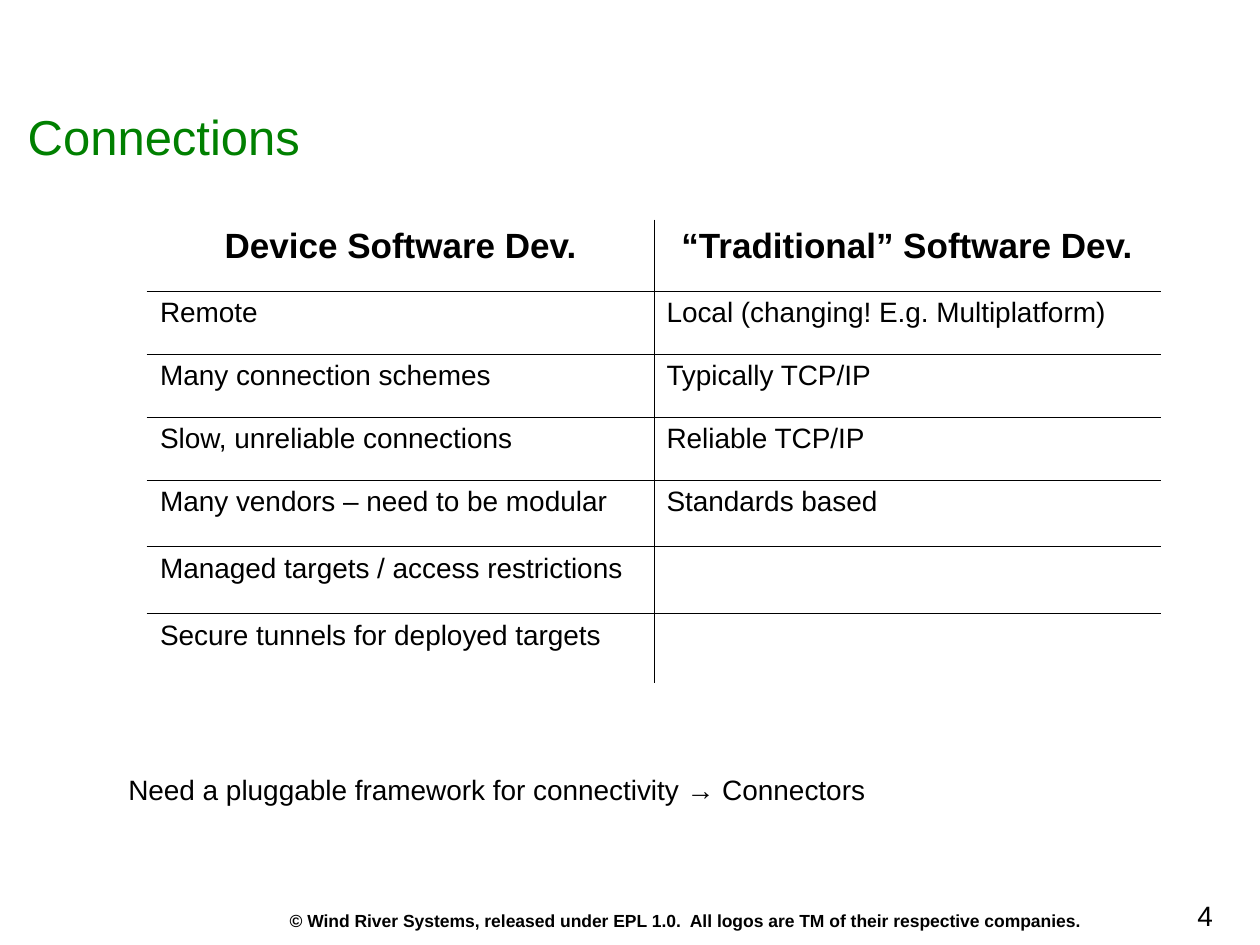
from dataclasses import dataclass

from lxml.etree import SubElement
from pptx import Presentation
from pptx.dml.color import RGBColor
from pptx.enum.text import MSO_ANCHOR, MSO_AUTO_SIZE, PP_ALIGN
from pptx.oxml import parse_xml
from pptx.oxml.ns import nsdecls, qn
from pptx.util import Inches, Pt


@dataclass(frozen=True)
class Theme:
    font: str = "Arial"
    ink: str = "000000"
    title: str = "008000"
    paper: str = "FFFFFF"
    shadow: str = "808080"
    title_pt: int = 28
    head_pt: int = 20
    body_pt: int = 16
    foot_pt: int = 10
    rule_pt: float = 0.45
    edge_pt: float = 1.08


@dataclass(frozen=True)
class Note:
    text: str
    left: float
    top: float
    width: float
    height: float
    size: int
    bold: bool = False
    wrap: bool = False
    align: PP_ALIGN = PP_ALIGN.LEFT


THEME = Theme()

NOTES = [
    Note("4", 8.96, 7.08, 1.21, 0.37, THEME.body_pt, align=PP_ALIGN.CENTER),
    Note("© Wind River Systems, released under EPL 1.0.  All logos are TM of "
         "their respective companies.", 2.2, 7.17, 6.48, 0.27, THEME.foot_pt, bold=True),
    Note("Need a pluggable framework for connectivity → Connectors",
         0.92, 6.08, 8.33, 0.37, THEME.body_pt, wrap=True),
]

ROWS = [
    ("Device Software Dev.", "“Traditional” Software Dev."),
    ("Remote", "Local (changing! E.g. Multiplatform)"),
    ("Many connection schemes", "Typically TCP/IP"),
    ("Slow, unreliable connections", "Reliable TCP/IP"),
    ("Many vendors – need to be modular", "Standards based"),
    ("Managed targets / access restrictions", ""),
    ("Secure tunnels for deployed targets", ""),
]
ROW_HEIGHTS = [0.56, 0.5, 0.5, 0.5, 0.53, 0.53, 0.56]
COL_WIDTH = 4.02


def add_run(p, text: str, size: int, color: str = THEME.ink, bold: bool = False):
    r = p.add_run()
    r.text = text
    r.font.name = THEME.font
    r.font.size = Pt(size)
    r.font.bold = bold
    r.font.color.rgb = RGBColor.from_string(color)
    return r


def add_text_shadow(r) -> None:
    fill = r.font._element.find(qn("a:solidFill"))
    fill.addnext(parse_xml(
        f'<a:effectLst {nsdecls("a")}><a:outerShdw dist="25400" dir="2700000">'
        f'<a:srgbClr val="{THEME.shadow}"/></a:outerShdw></a:effectLst>'))


def add_note(slide, note: Note) -> None:
    sp = slide.shapes.add_textbox(Inches(note.left), Inches(note.top),
                                  Inches(note.width), Inches(note.height))
    tf = sp.text_frame
    tf.word_wrap = note.wrap
    tf.auto_size = MSO_AUTO_SIZE.SHAPE_TO_FIT_TEXT
    p = tf.paragraphs[0]
    p.alignment = note.align
    add_text_shadow(add_run(p, note.text, note.size, bold=note.bold))


def set_borders(cell, outer: dict[str, bool]) -> None:
    """Draw outer sides in the paper colour and inner sides as thin rules."""
    tc_pr = cell._tc.get_or_add_tcPr()
    for i, side in enumerate("LRTB"):
        color, width = ((THEME.paper, THEME.edge_pt) if outer[side]
                        else (THEME.ink, THEME.rule_pt))
        ln = SubElement(tc_pr, qn(f"a:ln{side}"), w=str(Pt(width)))
        SubElement(SubElement(ln, qn("a:solidFill")), qn("a:srgbClr"), val=color)
        tc_pr.insert(i, ln)


def add_comparison(slide, left: float, top: float) -> None:
    n_rows, n_cols = len(ROWS), len(ROWS[0])
    frame = slide.shapes.add_table(n_rows, n_cols, Inches(left), Inches(top),
                                   Inches(COL_WIDTH * n_cols), Inches(sum(ROW_HEIGHTS)))
    table = frame.table
    table.first_row = table.horz_banding = False
    for col in table.columns:
        col.width = Inches(COL_WIDTH)
    for i, (texts, height) in enumerate(zip(ROWS, ROW_HEIGHTS)):
        table.rows[i].height = Inches(height)
        head = i == 0
        for j, text in enumerate(texts):
            cell = table.cell(i, j)
            cell.fill.background()
            set_borders(cell, {"L": j == 0, "R": j == n_cols - 1,
                               "T": head, "B": i == n_rows - 1})
            if text:
                p = cell.text_frame.paragraphs[0]
                p.alignment = PP_ALIGN.CENTER if head else PP_ALIGN.LEFT
                add_run(p, text, THEME.head_pt if head else THEME.body_pt, bold=head)


def set_title(slide, text: str) -> None:
    sp = slide.shapes.title
    sp.left, sp.top, sp.width, sp.height = map(Inches, (0.12, 0.84, 8.27, 0.54))
    tf = sp.text_frame
    tf.auto_size = MSO_AUTO_SIZE.NONE
    tf.vertical_anchor = MSO_ANCHOR.MIDDLE
    p = tf.paragraphs[0]
    p.alignment = PP_ALIGN.LEFT
    p.line_spacing = 0.9
    add_run(p, text, THEME.title_pt, THEME.title)


def main() -> None:
    prs = Presentation()
    prs.slide_width, prs.slide_height = Inches(10), Inches(7.5)
    slide = prs.slides.add_slide(prs.slide_layouts[5])

    # Title and comparison table
    set_title(slide, "Connections")
    add_comparison(slide, 1.17, 1.75)

    # Page number, copyright line and conclusion
    for note in NOTES:
        add_note(slide, note)

    prs.save("out.pptx")


if __name__ == "__main__":
    main()
